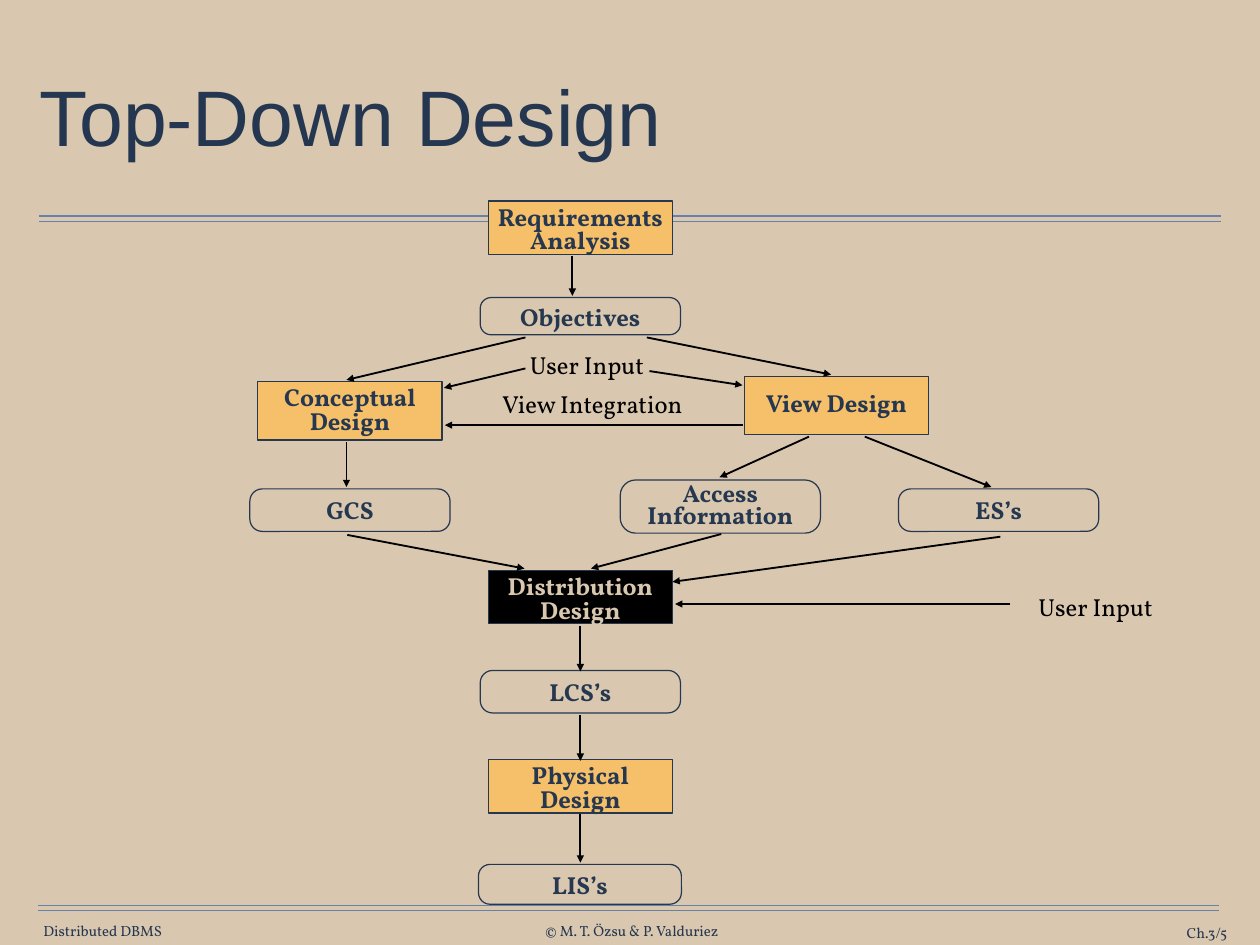
from lxml.etree import SubElement
from pptx import Presentation
from pptx.dml.color import RGBColor
from pptx.enum.shapes import MSO_CONNECTOR, MSO_SHAPE
from pptx.enum.text import MSO_ANCHOR, PP_ALIGN
from pptx.oxml.ns import qn
from pptx.util import Inches, Pt

SAND = RGBColor(0xD9, 0xC8, 0xAF)
NAVY = RGBColor(0x26, 0x37, 0x50)
TITLE_NAVY = RGBColor(0x25, 0x37, 0x50)
ORANGE = RGBColor(0xF6, 0xBF, 0x69)
RULE_BLUE = RGBColor(0x66, 0x82, 0xAA)
BLACK = RGBColor(0, 0, 0)


class DesignSlide:
    """Draws the elements of a design flow chart on one slide."""

    font = "Vollkorn"
    insets = (0.14, 0.07)

    def __init__(self, prs):
        self.s = prs.slides.add_slide(prs.slide_layouts[6])
        fill = self.s.background.fill
        fill.solid()
        fill.fore_color.rgb = SAND

    def set_text(self, sp, text, size=20, color=NAVY, bold=False, font=None,
                 align=PP_ALIGN.CENTER, anchor=MSO_ANCHOR.MIDDLE,
                 insets=insets, spacing=None, wrap=False):
        tf = sp.text_frame
        tf.text = text
        tf.word_wrap = wrap
        tf.vertical_anchor = anchor
        tf.margin_left = tf.margin_right = Inches(insets[0])
        tf.margin_top = tf.margin_bottom = Inches(insets[1])
        for p in tf.paragraphs:
            p.alignment = align
            if spacing:
                p.line_spacing = spacing
            for r in p.runs:
                r.font.name = font or self.font
                r.font.size = Pt(size)
                r.font.bold = bold
                r.font.color.rgb = color

    def label(self, text, x, y, w, h, **style):
        sp = self.s.shapes.add_textbox(Inches(x), Inches(y), Inches(w), Inches(h))
        self.set_text(sp, text, **style)

    def box(self, kind, text, x, y, w, h, fill=None, **style):
        sp = self.s.shapes.add_shape(kind, Inches(x), Inches(y), Inches(w), Inches(h))
        sp.shadow.inherit = False
        if fill is None:
            sp.fill.background()
        else:
            sp.fill.solid()
            sp.fill.fore_color.rgb = fill
        sp.line.color.rgb = NAVY
        sp.line.width = Pt(1)
        self.set_text(sp, text, bold=True, **style)
        return sp

    def step(self, text, x, y, h=0.6, fill=ORANGE, color=NAVY,
             anchor=MSO_ANCHOR.TOP):
        self.box(MSO_SHAPE.RECTANGLE, text, x, y, 2.08, h, fill,
                 color=color, anchor=anchor, spacing=0.8)

    def result(self, text, x, y, w=2.26, h=0.48, **style):
        sp = self.box(MSO_SHAPE.ROUNDED_RECTANGLE, text, x, y, w, h, **style)
        sp.adjustments[0] = 0.29

    def line(self, x1, y1, x2, y2, color=RULE_BLUE, width=1):
        cn = self.s.shapes.add_connector(
            MSO_CONNECTOR.STRAIGHT, Inches(x1), Inches(y1), Inches(x2), Inches(y2))
        cn.line.color.rgb = color
        cn.line.width = Pt(width)
        SubElement(cn.element.spPr, qn("a:effectLst"))
        return cn

    def arrow(self, x1, y1, x2, y2):
        cn = self.line(x1, y1, x2, y2, BLACK, 1.5)
        ln = cn.element.spPr.find(qn("a:ln"))
        SubElement(ln, qn("a:tailEnd"), type="triangle")


def main():
    prs = Presentation()
    prs.slide_width, prs.slide_height = Inches(14.22), Inches(10.67)
    s = DesignSlide(prs)

    for x1, x2, y in ((0.44, 13.78, 2.44), (0.43, 13.76, 10.22)):
        for gap in (0, 0.06):
            s.line(x1, y + gap, x2, y + gap)

    footer = {"size": 12, "insets": (0, 0)}
    s.label("Distributed DBMS", 0.47, 10.41, 1.38, 0.2, **footer)
    s.label("© M. T. Özsu & P. Valduriez", 6.09, 10.41, 2.08, 0.2, **footer)
    s.label("Ch.3/5", 12.31, 10.43, 1.54, 0.2, align=PP_ALIGN.RIGHT,
            wrap=True, **footer)
    s.label("Top-Down Design", 0.39, 0.49, 13.44, 1.76, size=64,
            color=TITLE_NAVY, font="Arial", align=PP_ALIGN.LEFT,
            insets=(0.06, 0.06), spacing=0.9, wrap=True)

    for text, x, y, w in (("User Input", 5.81, 3.88, 1.63),
                          ("View Integration", 5.5, 4.32, 2.37),
                          ("User Input", 11.55, 6.61, 1.63)):
        s.label(text, x, y, w, 0.48, color=BLACK, anchor=MSO_ANCHOR.TOP)

    s.step("Requirements\nAnalysis", 5.51, 2.27)
    s.step("Conceptual\nDesign", 2.91, 4.31, h=0.66)
    s.step("View Design", 8.4, 4.25, h=0.66, anchor=MSO_ANCHOR.MIDDLE)
    s.step("Distribution\nDesign", 5.51, 6.44, fill=BLACK, color=SAND)
    s.step("Physical\nDesign", 5.51, 8.58)

    s.result("Objectives", 5.42, 3.36, h=0.42)
    s.result("Access\nInformation", 7, 5.42, h=0.6, insets=(0.14, 0), spacing=0.75)
    s.result("ES’s", 10.14, 5.52)
    s.result("GCS", 2.82, 5.52)
    s.result("LCS’s", 5.42, 7.57)
    s.result("LIS’s", 5.4, 9.76, w=2.29, h=0.45)

    for ends in (
        (6.46, 2.89, 6.46, 3.34),
        (5.93, 3.81, 3.91, 4.29),
        (7.3, 3.81, 9.38, 4.23),
        (5.93, 4.16, 5.01, 4.38),
        (7.33, 4.19, 8.38, 4.35),
        (8.38, 4.8, 5.02, 4.8),
        (3.91, 4.99, 3.91, 5.5),
        (9.13, 4.93, 8.12, 5.39),
        (9.76, 4.93, 11.19, 5.5),
        (3.92, 6.04, 5.92, 6.42),
        (8.14, 6.03, 6.67, 6.42),
        (11.29, 6.06, 7.59, 6.57),
        (11.4, 6.82, 7.62, 6.82),
        (6.55, 7.07, 6.55, 7.58),
        (6.55, 8.07, 6.55, 8.59),
        (6.55, 9.19, 6.55, 9.74),
    ):
        s.arrow(*ends)

    prs.save("out.pptx")


if __name__ == "__main__":
    main()
